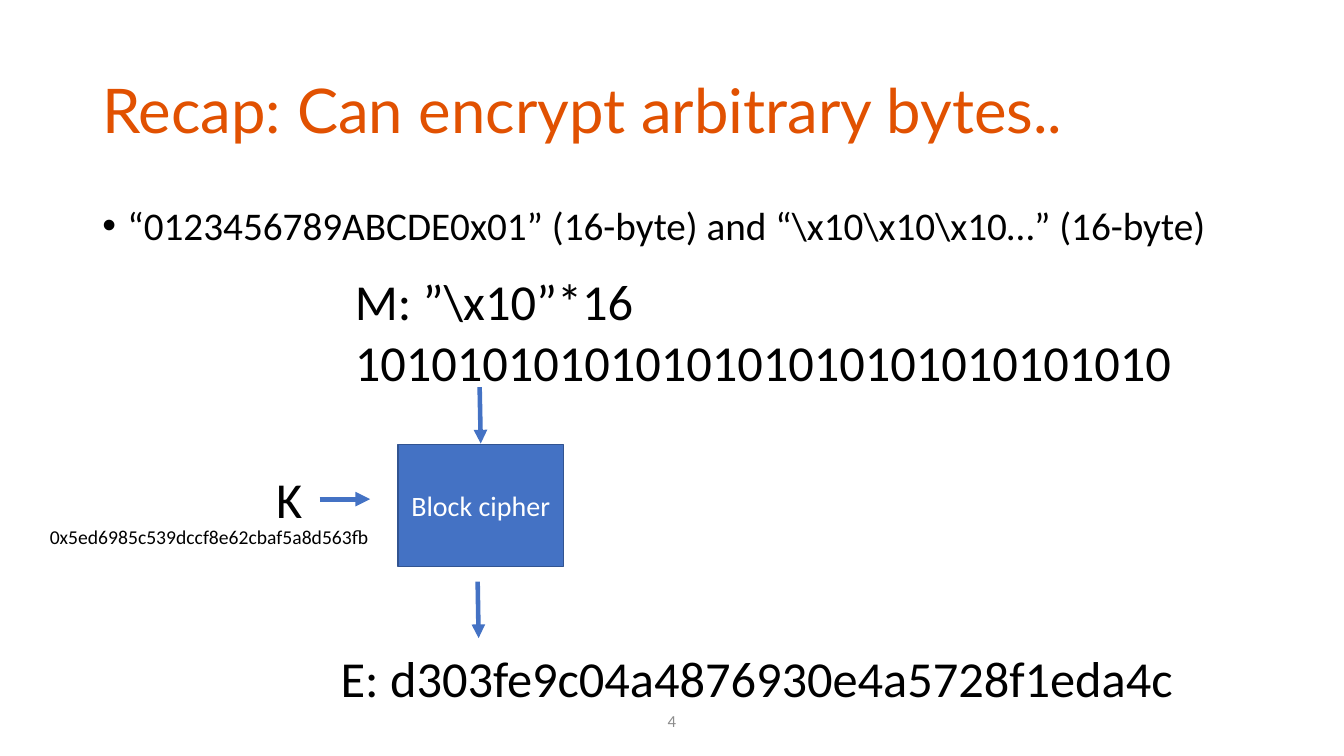
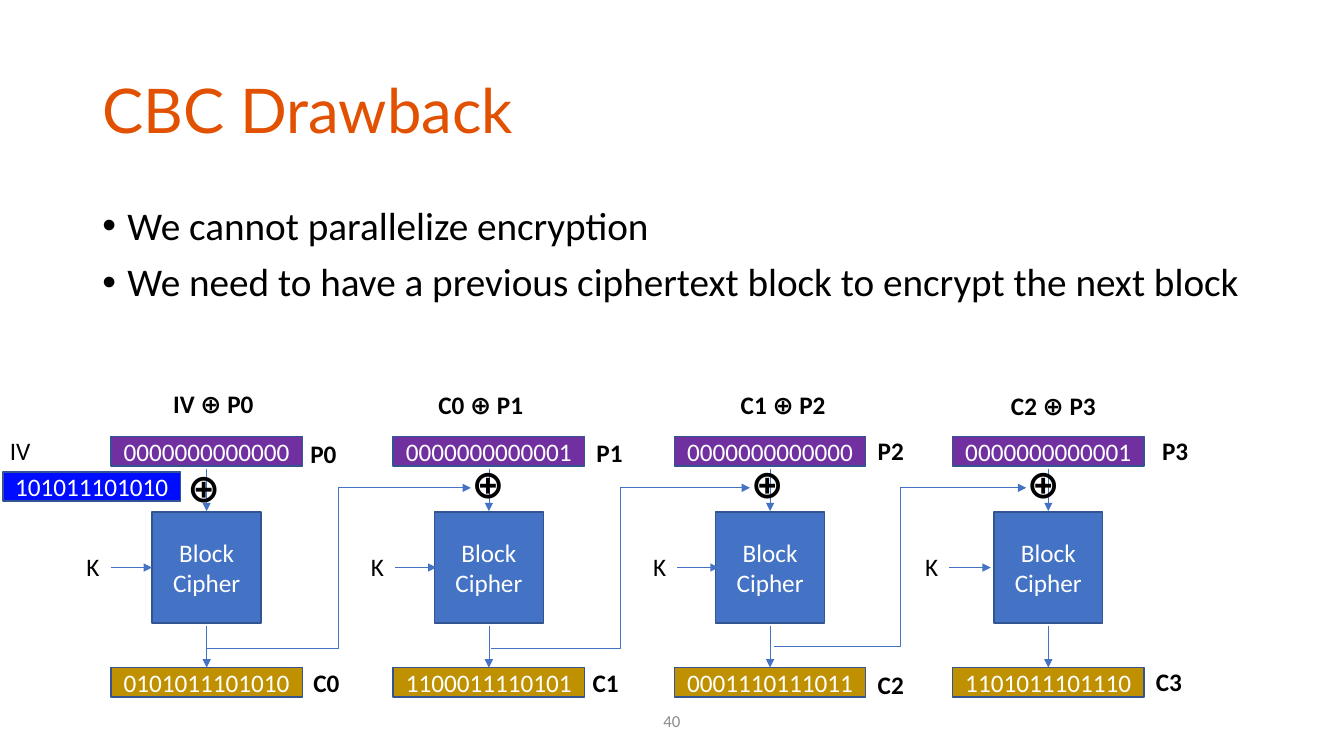
import dataclasses
import itertools

import pptx
import pptx.dml.color
import pptx.enum.shapes
import pptx.enum.text
import pptx.oxml
import pptx.oxml.ns
import pptx.util

Pt = pptx.util.Pt
ALIGN = pptx.enum.text.PP_ALIGN
ANCHOR = pptx.enum.text.MSO_ANCHOR
CONNECTOR = pptx.enum.shapes.MSO_CONNECTOR
RECTANGLE = pptx.enum.shapes.MSO_SHAPE.RECTANGLE

COLORS = {
    "title": "E15101",
    "text": "000000",
    "page": "8C8C8C",
    "block": "4472C4",
    "outline": "325491",
    "plain": "7030A0",
    "cipher": "BF9000",
    "vector": "000CFF",
    "white": "FFFFFF",
}
TITLE_BOX = (66, 29, 828, 104)
BODY_BOX = (66, 144, 828, 343)
PAGE_BOX = (372, 500.5, 216, 28.8)


def rgb(name):
    return pptx.dml.color.RGBColor.from_string(COLORS[name])


def add_xml(parent, tag, **attributes):
    element = pptx.oxml.ns.qn(tag)
    child = parent.makeelement(element, attributes)
    parent.append(child)
    return child


def write(shape, lines, size, color="text", font="Calibri", bold=False,
          align=ALIGN.LEFT, anchor=ANCHOR.TOP, wrap=True, bullets=False, spacing=None):
    frame = shape.text_frame
    frame.word_wrap = wrap
    frame.vertical_anchor = anchor
    for index, line in enumerate(lines):
        paragraph = frame.add_paragraph() if index else frame.paragraphs[0]
        paragraph.text = line
        paragraph.alignment = align
        if spacing:
            paragraph.line_spacing = spacing
        if bullets:
            if index:
                paragraph.space_before = Pt(10)
            properties = paragraph._p.get_or_add_pPr()
            properties.set("marL", str(Pt(18)))
            properties.set("indent", str(-Pt(18)))
            add_xml(properties, "a:buFont", typeface="Arial")
            add_xml(properties, "a:buChar", char="•")
        paragraph.font.size = Pt(size)
        paragraph.font.name = font
        paragraph.font.bold = bold
        paragraph.font.color.rgb = rgb(color)


def add_text(slide, box, *lines, size=18, **style):
    shape = slide.shapes.add_textbox(*map(Pt, box))
    write(shape, lines, size, **style)


def add_box(slide, box, fill, *lines, size=18):
    shape = slide.shapes.add_shape(RECTANGLE, *map(Pt, box))
    shape.shadow.inherit = False
    shape.fill.solid()
    shape.fill.fore_color.rgb = rgb(fill)
    shape.line.color.rgb = rgb("outline")
    shape.line.width = Pt(1)
    write(shape, lines, size, color="white", align=ALIGN.CENTER, anchor=ANCHOR.MIDDLE)


def add_arrow(slide, start, end, width=0.5, kind=CONNECTOR.STRAIGHT):
    arrow = slide.shapes.add_connector(kind, *map(Pt, start + end))
    arrow.line.color.rgb = rgb("block")
    arrow.line.width = Pt(width)
    add_xml(arrow.line._get_or_add_ln(), "a:tailEnd", type="triangle")
    add_xml(arrow._element.spPr, "a:effectLst")


def add_content_slide(presentation, title, bullets, page):
    slide = presentation.slides.add_slide(presentation.slide_layouts[6])
    add_text(slide, TITLE_BOX, title, size=44, color="title", font="Lato",
             anchor=ANCHOR.MIDDLE, spacing=0.9)
    add_text(slide, BODY_BOX, *bullets, size=28, bullets=True, spacing=0.9)
    add_text(slide, PAGE_BOX, str(page), size=12, color="page",
             align=ALIGN.CENTER, anchor=ANCHOR.MIDDLE)
    return slide


def add_single_cipher(slide, left, top, width, height):
    """One block cipher with its message, key and result."""
    middle = left + width / 2
    add_box(slide, (left, top, width, height), "block", "Block cipher", size=20)
    # Key
    add_text(slide, (left - 94.3, top + 13, 33, 51), "K", size=36, wrap=False)
    add_text(slide, (0, top + 54, 299, 24.5), "0x5ed6985c539dccf8e62cbaf5a8d563fb",
             size=14, align=ALIGN.CENTER)
    add_arrow(slide, (left - 56, top + 39), (left - 20, top + 39), 3.5)
    # Message
    add_text(slide, (left - 38, top - 128, 648, 94), "M: ”\\x10”*16",
             "10101010101010101010101010101010", size=36)
    add_arrow(slide, (middle - 0.8, top - 41), (middle, top - 0.7), 3.25)
    # Result
    add_arrow(slide, (middle - 2.2, top + 98), (middle - 1.5, top + 138.3), 3.25)
    add_text(slide, (left - 48.2, top + 141, 639, 51),
             "E: d303fe9c04a4876930e4a5728f1eda4c", size=36)


@dataclasses.dataclass
class Stage:
    """Bits of one stage, and where its labels stand from its top left corner."""
    left: float
    plain: str
    cipher: str
    sum_label: str
    sum_at: tuple
    plain_label_at: tuple
    cipher_label_at: tuple
    xor_at: tuple
    key_x: float
    tap_at: tuple = None


STAGES = [
    Stage(79.2, "0000000000000", "0101011101010", "IV ⊕ P0", (37.4, -38.2),
          (135.4, -2.2), (137.5, 161.2), (47.5, 15.8), -24.5, (68.4, 151.2)),
    Stage(280.8, "0000000000001", "1100011110101", "C0 ⊕ P1", (25.2, -37.5),
          (138.2, -3), (135.4, 161.2), (49, 13), -23, (69.8, 151.4)),
    Stage(481.7, "0000000000000", "0001110111011", "C1 ⊕ P2", (40.3, -37.5),
          (138.2, -4.4), (138.2, 162.7), (47.5, 13), -22.3, (71.3, 149.7)),
    Stage(680.4, "0000000000001", "1101011101110", "C2 ⊕ P3", (34.6, -36.8),
          (142.6, -4.4), (138.2, 160.5), (46.1, 13), -26.6),
]


def add_stage(slide, stage, number, top):
    left, middle = stage.left, stage.left + 68.4

    def box(offset, width, height):
        return left + offset[0], top + offset[1], width, height

    # Plaintext, cipher and ciphertext
    add_box(slide, box((0, 0), 136.8, 21), "plain", stage.plain)
    add_box(slide, box((29.5, 54), 77.8, 79.2), "block", "Block", "Cipher")
    add_box(slide, box((0, 165), 136.8, 21), "cipher", stage.cipher)
    for start, end in ((23, 53.3), (135.4, 165)):
        add_arrow(slide, (middle, top + start), (middle, top + end))
    # Key
    add_text(slide, box((stage.key_x, 78.5), 23.8, 28.8), "K", wrap=False)
    arrow_left = left + stage.key_x + 24.4
    add_arrow(slide, (arrow_left, top + 93.6), (arrow_left + 29.5, top + 93.6))
    # Labels
    add_text(slide, box(stage.xor_at, 39, 41), "⊕", size=28, bold=True)
    sum_width = 75.6 if number == 0 else 78.5
    add_text(slide, box(stage.sum_at, sum_width, 28.8), stage.sum_label,
             bold=True, wrap=False)
    for letter, offset in (("P", stage.plain_label_at), ("C", stage.cipher_label_at)):
        add_text(slide, box(offset, 33, 28.8), f"{letter}{number}", bold=True, wrap=False)


def add_chain(slide, top):
    """Four chained stages, each feeding its ciphertext to the next."""
    for number, stage in enumerate(STAGES):
        add_stage(slide, stage, number, top)
    for stage, following in itertools.pairwise(STAGES):
        start = (stage.left + stage.tap_at[0], top + stage.tap_at[1])
        end = (following.left + following.xor_at[0] + 6.6, top + 36.7)
        add_arrow(slide, start, end, kind=CONNECTOR.ELBOW)
    # Initialization vector
    add_text(slide, (0, top - 4.4, 29.5, 28.8), "IV", wrap=False)
    add_box(slide, (2.2, top + 25.2, 126.7, 21), "vector", "101011101010")


def main():
    presentation = pptx.Presentation()
    presentation.slide_width = Pt(960)
    presentation.slide_height = Pt(540)

    recap = add_content_slide(
        presentation, "Recap: Can encrypt arbitrary bytes..",
        ["“0123456789ABCDE0x01” (16-byte) and “\\x10\\x10\\x10…” (16-byte)"], 4)
    add_single_cipher(recap, 284.4, 317.5, 118, 87)

    drawback = add_content_slide(
        presentation, "CBC Drawback",
        ["We cannot parallelize encryption",
         "We need to have a previous ciphertext block to encrypt the next block"], 40)
    add_chain(drawback, 311.8)

    presentation.save("out.pptx")


if __name__ == "__main__":
    main()
